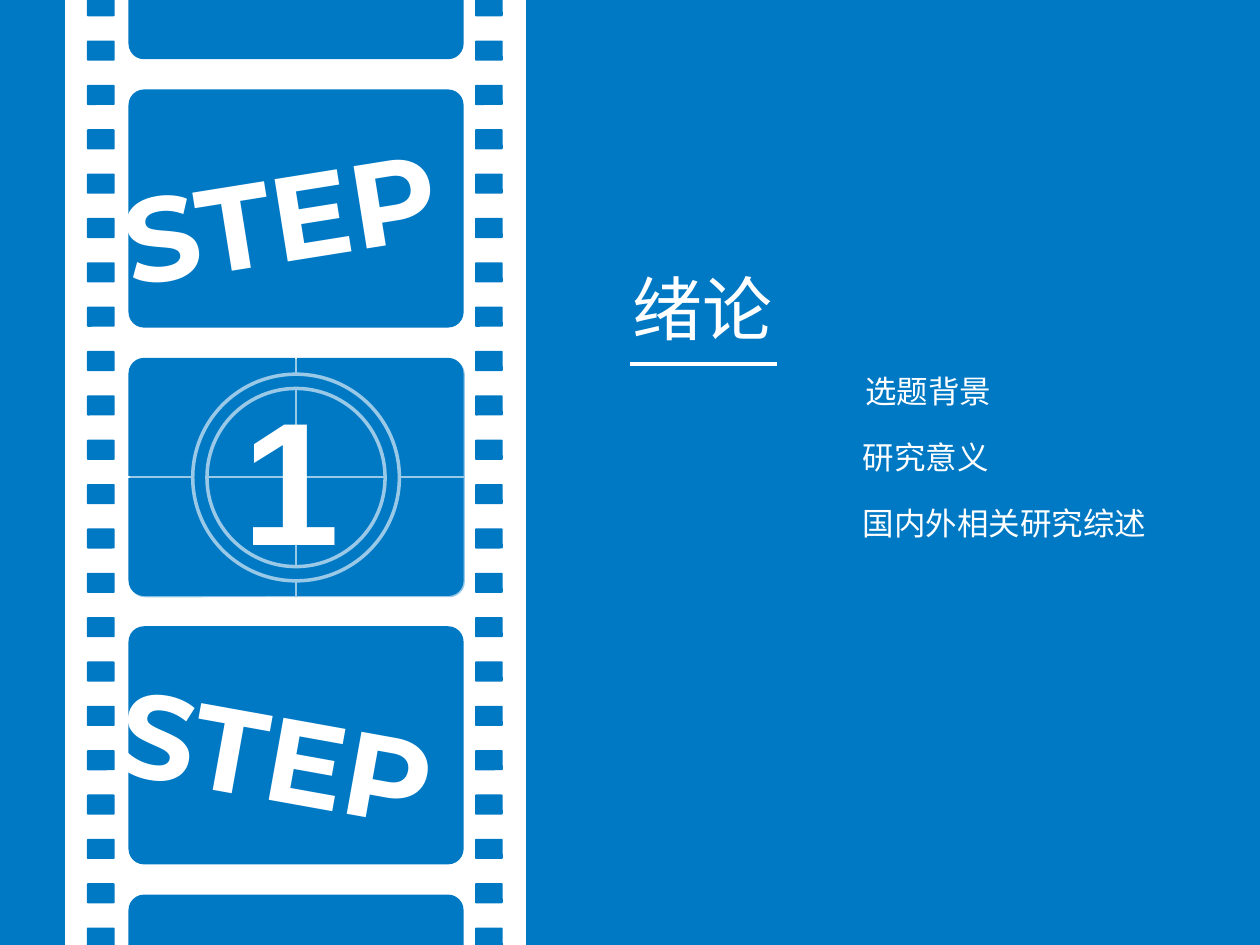
from dataclasses import dataclass

import pptx
import pptx.dml.color
import pptx.enum.shapes
import pptx.enum.text
import pptx.oxml
import pptx.oxml.ns
import pptx.util

COLORS = {"blue": "0079C5", "white": "FFFFFF"}
SHAPE = pptx.enum.shapes.MSO_SHAPE
CJK = "Noto Sans CJK SC"

# The slide is a grid of 100 columns by 75 square rows
COLS, ROWS = 100, 75
UNIT = pptx.util.Inches(0.1)


@dataclass
class Box:
    col: float
    row: float
    cols: float
    rows: float

    def emu(self) -> list[int]:
        return [grid(v) for v in (self.col, self.row, self.cols, self.rows)]


@dataclass
class Label:
    text: str
    box: Box
    size: int
    font: str = CJK
    bold: bool = False
    rotation: float = 0


def grid(n: float) -> int:
    return round(n * UNIT)


def rgb(name: str) -> pptx.dml.color.RGBColor:
    return pptx.dml.color.RGBColor.from_string(COLORS[name])


def set_line(line, color: str, width: float) -> None:
    line.color.rgb = rgb(color)
    line.width = pptx.util.Pt(width)


def add_block(shapes, kind, box: Box, color: str, adj=None, opacity=None):
    sp = shapes.add_shape(kind, *box.emu())
    sp.shadow.inherit = False
    sp.fill.solid()
    sp.fill.fore_color.rgb = rgb(color)
    sp.line.fill.background()
    if adj is not None:
        sp.adjustments[0] = adj
    if opacity is not None:
        clr = sp.fill._xPr.find(".//" + pptx.oxml.ns.qn("a:srgbClr"))
        alpha = pptx.oxml.parse_xml(
            f'<a:alpha {pptx.oxml.ns.nsdecls("a")} val="{opacity * 1000}"/>')
        clr.append(alpha)
    return sp


def add_line(shapes, x1: float, y1: float, x2: float, y2: float, width: float):
    ln = shapes.add_connector(pptx.enum.shapes.MSO_CONNECTOR.STRAIGHT,
                              *map(grid, (x1, y1, x2, y2)))
    set_line(ln.line, "white", width)
    ln._element.spPr.append(pptx.oxml.parse_xml(
        f'<a:effectLst {pptx.oxml.ns.nsdecls("a")}/>'))
    return ln


def add_label(shapes, label: Label) -> None:
    s = shapes.add_textbox(*label.box.emu())
    s.rotation = label.rotation
    tf = s.text_frame
    tf.word_wrap = True
    tf.auto_size = pptx.enum.text.MSO_AUTO_SIZE.SHAPE_TO_FIT_TEXT
    r = tf.paragraphs[0].add_run()
    r.text = label.text
    fmt = {"size": pptx.util.Pt(label.size), "name": label.font,
           "bold": label.bold}
    for key, value in fmt.items():
        setattr(r.font, key, value)
    r.font.color.rgb = rgb("white")
    r.font._element.append(pptx.oxml.parse_xml(
        f'<a:ea {pptx.oxml.ns.nsdecls("a")} typeface="{label.font}"/>'))


# Film strip geometry
STRIP = Box(5.5, -1.6, 35.9, 78.1)
HOLE_COLS, HOLE_TOP, HOLE_PITCH, HOLE_COUNT = (6.9, 37.7), -0.3, 3.52, 22
FRAME_COL, FRAME_TOP, FRAME_PITCH, FRAME_COUNT = 10.2, -14.2, 21.3, 5
FRAME_W, FRAME_H = 26.6, 18.9
COUNTDOWN = 2  # frame that carries the number

STEPS = [
    Label("STEP", Box(8.7, 10.3, 34.5, 12.5), 68, "Montserrat", True, 350.9),
    Label("STEP", Box(8.4, 54.3, 34.5, 12.4), 68, "Montserrat", True, 10.2),
]
NUMBER = Label("1", Box(18.3, 28.9, 19.5, 17.8), 100, "Arial", True)
CONTENTS = [
    Label("绪论", Box(49.2, 20.6, 13.4, 7.7), 40),
    Label("选题背景", Box(67.7, 29, 25.3, 4), 18),
    Label("研究意义", Box(67.5, 34.3, 25.3, 4), 18),
    Label("国内外相关研究综述", Box(67.5, 39.5, 25.3, 4), 18),
]


def add_film(shapes) -> list:
    """Draw the strip with its holes; return the frames."""
    film = shapes.add_group_shape().shapes
    strip = add_block(film, SHAPE.RECTANGLE, STRIP, "white")
    set_line(strip.line, "white", 4.5)
    for col in HOLE_COLS:
        for i in range(HOLE_COUNT):
            hole = Box(col, HOLE_TOP + i * HOLE_PITCH, 2.2, 1.6)
            add_block(film, SHAPE.ROUNDED_RECTANGLE, hole, "blue", 0.057)
    return [add_block(film, SHAPE.ROUNDED_RECTANGLE,
                      Box(FRAME_COL, FRAME_TOP + i * FRAME_PITCH, FRAME_W, FRAME_H),
                      "blue", 0.065)
            for i in range(FRAME_COUNT)]


def add_countdown(shapes, frame) -> None:
    """Draw cross hairs, ring, tinted cover and number on a frame."""
    top = FRAME_TOP + COUNTDOWN * FRAME_PITCH
    mid_x, mid_y = FRAME_COL + FRAME_W / 2, top + FRAME_H / 2
    across = add_line(shapes, FRAME_COL, mid_y, 37.7, mid_y, 1.5)
    across.begin_connect(frame, 1)
    down = add_line(shapes, mid_x, top, mid_x, top + FRAME_H, 1.5)
    down.begin_connect(frame, 0)
    down.end_connect(frame, 2)
    ring = add_block(shapes, SHAPE.DONUT, Box(15.3, 29.7, 16.4, 16.4), "blue", 0.069)
    set_line(ring.line, "white", 2)
    cover = Box(FRAME_COL + 0.1, top + 0.1, FRAME_W, FRAME_H)
    add_block(shapes, SHAPE.ROUNDED_RECTANGLE, cover, "blue", 0.065, opacity=40)
    add_label(shapes, NUMBER)


def main() -> None:
    prs = pptx.Presentation()
    prs.slide_width, prs.slide_height = grid(COLS), grid(ROWS)
    slide = prs.slides.add_slide(prs.slide_layouts[6])
    slide.background.fill.solid()
    slide.background.fill.fore_color.rgb = rgb("blue")
    shapes = slide.shapes

    # Film strip
    frames = add_film(shapes)
    for step in STEPS:
        add_label(shapes, step)
    add_countdown(shapes, frames[COUNTDOWN])

    # Chapter title, rule and sections
    add_line(shapes, 50, 28.9, 61.7, 28.9, 2.25)
    for label in CONTENTS:
        add_label(shapes, label)

    prs.save("out.pptx")


if __name__ == "__main__":
    main()
